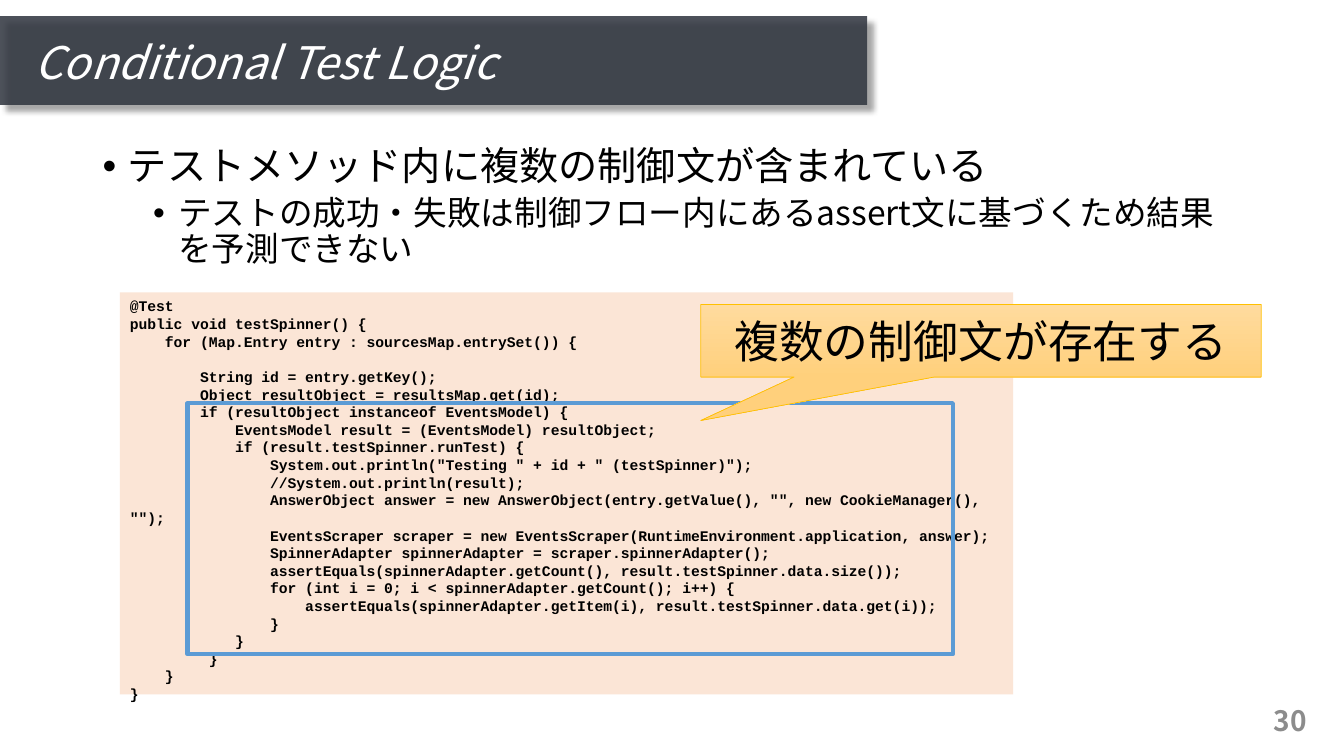
from lxml import etree
from pptx import Presentation
from pptx import util as u
from pptx.dml.color import RGBColor
from pptx.enum import shapes, text
from pptx.oxml.ns import qn

PX = 9144
SANS = "Noto Sans CJK JP"
MONO = "Courier New"
HUES = {
    "black": "000000", "white": "FFFFFF", "gray": "8C8C8C", "band": "30353F",
    "peach": "FBE5D6", "blue": "5B9BD5", "gold": "FFC000",
    "light": "FFDB9E", "deep": "FFD07C",
}
CODE = [
    (0, '@Test'),
    (0, 'public void testSpinner() {'),
    (4, 'for (Map.Entry entry : sourcesMap.entrySet()) {'),
    (0, ''),
    (8, 'String id = entry.getKey();'),
    (8, 'Object resultObject = resultsMap.get(id);'),
    (8, 'if (resultObject instanceof EventsModel) {'),
    (12, 'EventsModel result = (EventsModel) resultObject;'),
    (12, 'if (result.testSpinner.runTest) {'),
    (16, 'System.out.println("Testing " + id + " (testSpinner)");'),
    (16, '//System.out.println(result);'),
    (16, 'AnswerObject answer = new AnswerObject(entry.getValue(), "", new CookieManager(), "");'),
    (16, 'EventsScraper scraper = new EventsScraper(RuntimeEnvironment.application, answer);'),
    (16, 'SpinnerAdapter spinnerAdapter = scraper.spinnerAdapter();'),
    (16, 'assertEquals(spinnerAdapter.getCount(), result.testSpinner.data.size());'),
    (16, 'for (int i = 0; i < spinnerAdapter.getCount(); i++) {'),
    (20, 'assertEquals(spinnerAdapter.getItem(i), result.testSpinner.data.get(i));'),
    (16, '}'),
    (12, '}'),
    (9, '}'),
    (4, '}'),
    (0, '}'),
]


def hue(name):
    return RGBColor.from_string(HUES[name])


def emu(box):
    return [v * PX for v in box]


def node(parent, tag, **attrs):
    return etree.SubElement(parent, qn(tag), attrs)


def style(para, size, color="black", face=SANS, bold=False, italic=False):
    font = para.font
    font.size, font.name = u.Pt(size), face
    font.bold, font.italic = bold, italic
    font.color.rgb = hue(color)
    if face == SANS:
        node(para._p.pPr.find(qn("a:defRPr")), "a:ea", typeface=face)


def shape(slide, kind, box, fill=None, line=None, width=1):
    item = slide.shapes.add_shape(kind, *emu(box))
    item.shadow.inherit = False
    if fill:
        item.fill.solid()
        item.fill.fore_color.rgb = hue(fill)
    else:
        item.fill.background()
    if line:
        item.line.color.rgb = hue(line)
        item.line.width = u.Pt(width)
    else:
        item.line.fill.background()
    return item


def frame(item, anchor=text.MSO_ANCHOR.TOP):
    area = item.text_frame
    area.word_wrap = True
    area.auto_size = text.MSO_AUTO_SIZE.NONE
    area.vertical_anchor = anchor
    return area


def header(slide, box):
    x, y, w, h = box
    band = shape(slide, shapes.MSO_SHAPE.RECTANGLE, box, "band")
    props = band._element.spPr
    node(props.find(".//" + qn("a:srgbClr")), "a:alpha", val="86000")
    cast = node(props.find(qn("a:effectLst")), "a:outerShdw", blurRad=str(u.Pt(4)),
                dist=str(u.Pt(6)), dir="2700000", algn="tl", rotWithShape="0")
    node(node(cast, "a:srgbClr", val=HUES["black"]), "a:alpha", val="40000")
    slide.shapes._spTree.insert(2, band._element)

    title = slide.shapes.title
    title.left, title.top, title.width, title.height = emu((x + 24, y + 8, 613, h - 8))
    area = frame(title, text.MSO_ANCHOR.MIDDLE)
    area.text = "Conditional Test Logic"
    para = area.paragraphs[0]
    para.alignment, para.line_spacing = text.PP_ALIGN.LEFT, 0.9
    style(para, 32, "white", italic=True)


def points(slide, box):
    area = frame(slide.shapes.add_textbox(*emu(box)))
    rows = [
        ("テストメソッド内に複数の制御文が含まれている", 28, 25),
        ("テストの成功・失敗は制御フロー内にあるassert文に基づくため結果を予測できない", 24, 75),
    ]
    area.text = "\n".join(row[0] for row in rows)
    for level, (para, (_, size, left)) in enumerate(zip(area.paragraphs, rows)):
        para.level, para.line_spacing = level, 0.9
        if level:
            para.space_before = u.Pt(5)
        props = para._p.get_or_add_pPr()
        props.set("marL", str(left * PX))
        props.set("indent", str(-25 * PX))
        node(props, "a:buFont", typeface="Arial")
        node(props, "a:buChar", char="•")
        style(para, size)


def code(slide, box):
    x, y, w, h = box
    area = frame(shape(slide, shapes.MSO_SHAPE.RECTANGLE, box, "peach"))
    area.text = "\n".join(" " * depth + line for depth, line in CODE)
    for para in area.paragraphs:
        para.alignment = text.PP_ALIGN.LEFT
        style(para, 10.5, face=MONO, bold=True)
        if not para.text:
            para._p.get_or_add_endParaRPr().set("sz", "1050")
    shape(slide, shapes.MSO_SHAPE.RECTANGLE, (x + 67, y + 110, 759, 249), line="blue", width=3)


def callout(slide, box):
    note = shape(slide, shapes.MSO_SHAPE.RECTANGULAR_CALLOUT, box, line="gold", width=0.5)
    note.adjustments[0], note.adjustments[1] = -0.5, 1.1
    note.fill.gradient()
    note.fill.gradient_angle = 270
    for stop, name in zip(note.fill.gradient_stops, ("light", "deep")):
        stop.color.rgb = hue(name)
    area = frame(note, text.MSO_ANCHOR.MIDDLE)
    area.text = "複数の制御文が存在する"
    area.paragraphs[0].alignment = text.PP_ALIGN.CENTER
    style(area.paragraphs[0], 32)


def number(slide, box):
    area = frame(slide.shapes.add_textbox(*emu(box)), text.MSO_ANCHOR.MIDDLE)
    area.text = "30"
    area.paragraphs[0].alignment = text.PP_ALIGN.RIGHT
    style(area.paragraphs[0], 20, "gray", bold=True)


def main():
    deck = Presentation()
    deck.slide_width, deck.slide_height = emu((1333, 750))
    slide = deck.slides.add_slide(deck.slide_layouts[5])
    header(slide, (0, 16, 860, 88))
    number(slide, (1006, 695, 300, 40))
    points(slide, (92, 141, 1135, 144))
    code(slide, (119, 290, 886, 399))
    callout(slide, (695, 302, 556, 72))
    deck.save("out.pptx")


if __name__ == "__main__":
    main()
